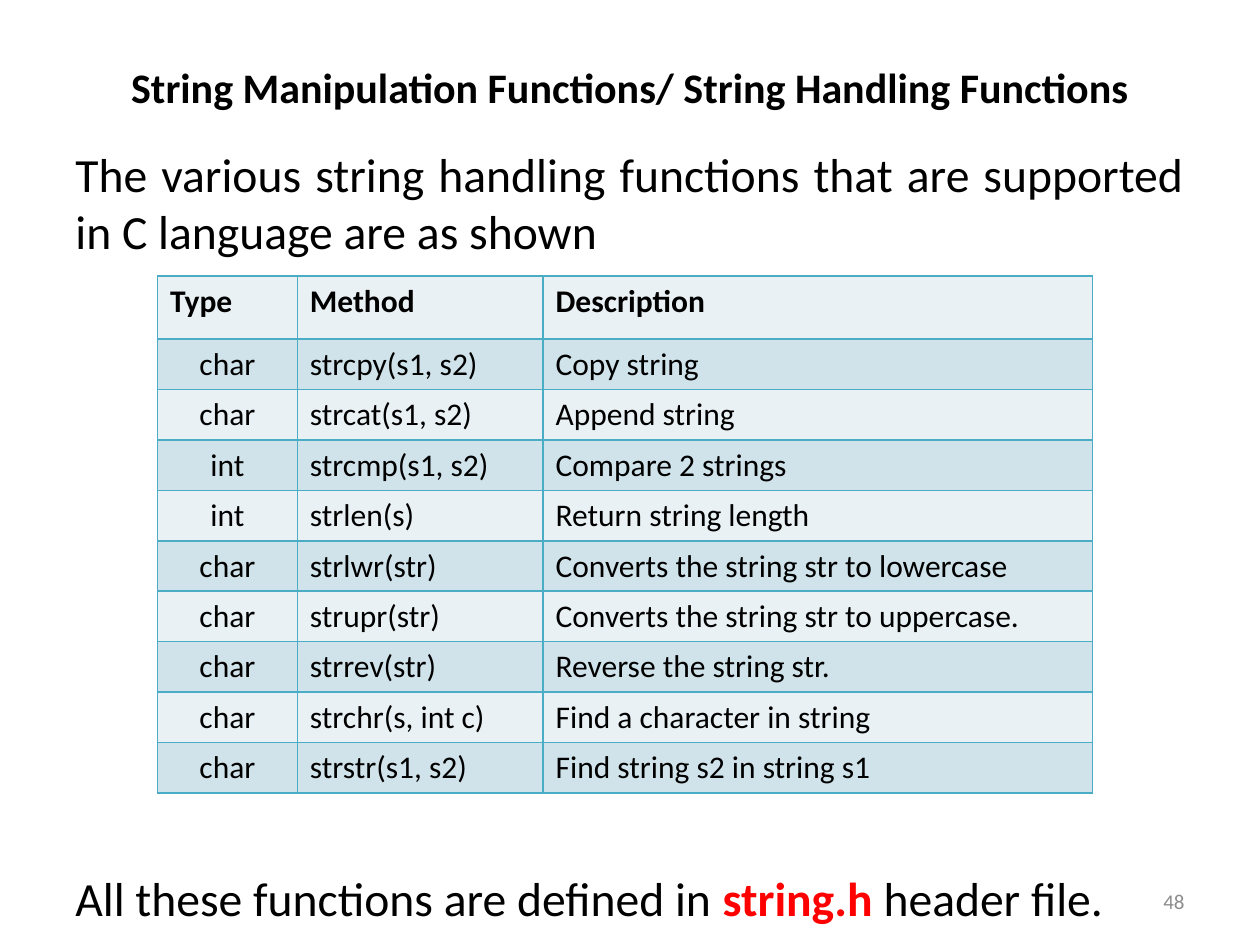
from lxml.etree import SubElement
from pptx import Presentation
from pptx.dml.color import RGBColor
from pptx.enum.text import MSO_ANCHOR, PP_ALIGN
from pptx.oxml.ns import qn
from pptx.util import Inches, Pt

THEME = {
    "font": "Calibri",
    "title": 24, "body": 27.2, "cell": 18, "number": 12,
    "text": "000000", "accent": "FF0000", "muted": "8C8C8C",
    "light": "E9F1F5", "dark": "D0E3EA", "border": "4BACC6",
}

TITLE = "String Manipulation Functions/ String Handling Functions"
INTRO = ("The various string handling functions that are supported "
         "in C language are as shown")
CLOSING = [
    ("All these functions are defined in ", {}),
    ("string.h", {"bold": True, "color": "accent"}),
    (" header file.", {}),
]
PAGE_NUMBER = "48"

HEADER = ("Type", "Method", "Description")
FUNCTIONS = [
    ("char", "strcpy(s1, s2)", "Copy string"),
    ("char", "strcat(s1, s2)", "Append string"),
    ("int", "strcmp(s1, s2)", "Compare 2 strings"),
    ("int", "strlen(s)", "Return string length"),
    ("char", "strlwr(str)", "Converts the string str to lowercase"),
    ("char", "strupr(str)", "Converts the string str to uppercase."),
    ("char", "strrev(str)", "Reverse the string str."),
    ("char", "strchr(s, int c)", "Find a character in string"),
    ("char", "strstr(s1, s2)", "Find string s2 in string s1"),
]
COLUMN_WIDTHS = (1.11, 1.95, 4.36)
HEADER_HEIGHT, ROW_HEIGHT = 0.5, 0.4


def write(frame, content, size, align=PP_ALIGN.LEFT, color="text", bold=False):
    """Fill a text frame with a string or a list of (text, overrides) spans."""
    paragraph = frame.paragraphs[0]
    paragraph.alignment = align
    spans = [(content, {})] if isinstance(content, str) else content
    for text, overrides in spans:
        span = paragraph.add_run()
        span.text = text
        span.font.name = THEME["font"]
        span.font.size = Pt(THEME[size])
        span.font.bold = overrides.get("bold", bold)
        span.font.color.rgb = RGBColor.from_string(
            THEME[overrides.get("color", color)])


def add_text(page, content, left, top, width, height,
             anchor=MSO_ANCHOR.TOP, **style):
    box = page.shapes.add_textbox(*map(Inches, (left, top, width, height)))
    box.text_frame.word_wrap = True
    box.text_frame.vertical_anchor = anchor
    write(box.text_frame, content, **style)


def add_borders(cell):
    """Outline a cell; call before its fill is set, as borders come first."""
    properties = cell._tc.get_or_add_tcPr()
    for side in ("a:lnL", "a:lnR", "a:lnT", "a:lnB"):
        line = SubElement(properties, qn(side), w=str(Pt(1)))
        fill = SubElement(line, qn("a:solidFill"))
        SubElement(fill, qn("a:srgbClr"), val=THEME["border"])


def add_function_table(page, left, top):
    rows = [HEADER] + FUNCTIONS
    height = HEADER_HEIGHT + ROW_HEIGHT * len(FUNCTIONS)
    table = page.shapes.add_table(
        len(rows), len(HEADER), Inches(left), Inches(top),
        Inches(sum(COLUMN_WIDTHS)), Inches(height)).table
    for column, width in zip(table.columns, COLUMN_WIDTHS):
        column.width = Inches(width)
    for r, texts in enumerate(rows):
        is_header = r == 0
        table.rows[r].height = Inches(HEADER_HEIGHT if is_header else ROW_HEIGHT)
        for c, text in enumerate(texts):
            cell = table.cell(r, c)
            add_borders(cell)
            cell.fill.solid()
            cell.fill.fore_color.rgb = RGBColor.from_string(
                THEME["dark" if r % 2 else "light"])
            centred = c == 0 and not is_header
            write(cell.text_frame, text, "cell", bold=is_header,
                  align=PP_ALIGN.CENTER if centred else PP_ALIGN.LEFT)


def main():
    deck = Presentation()
    deck.slide_width, deck.slide_height = Inches(10), Inches(7.5)
    page = deck.slides.add_slide(deck.slide_layouts[6])
    add_text(page, TITLE, 0.5, 0.3, 9, 0.78, anchor=MSO_ANCHOR.MIDDLE,
             size="title", align=PP_ALIGN.CENTER, bold=True)
    add_text(page, PAGE_NUMBER, 7.17, 6.95, 2.33, 0.4, anchor=MSO_ANCHOR.MIDDLE,
             size="number", align=PP_ALIGN.RIGHT, color="muted")
    add_text(page, INTRO, 0.5, 1.1, 9, 1.05, size="body", align=PP_ALIGN.JUSTIFY)
    add_text(page, CLOSING, 0.5, 6.85, 9, 0.5, size="body", align=PP_ALIGN.JUSTIFY)
    add_function_table(page, 1.25, 2.19)
    deck.save("out.pptx")


if __name__ == "__main__":
    main()
